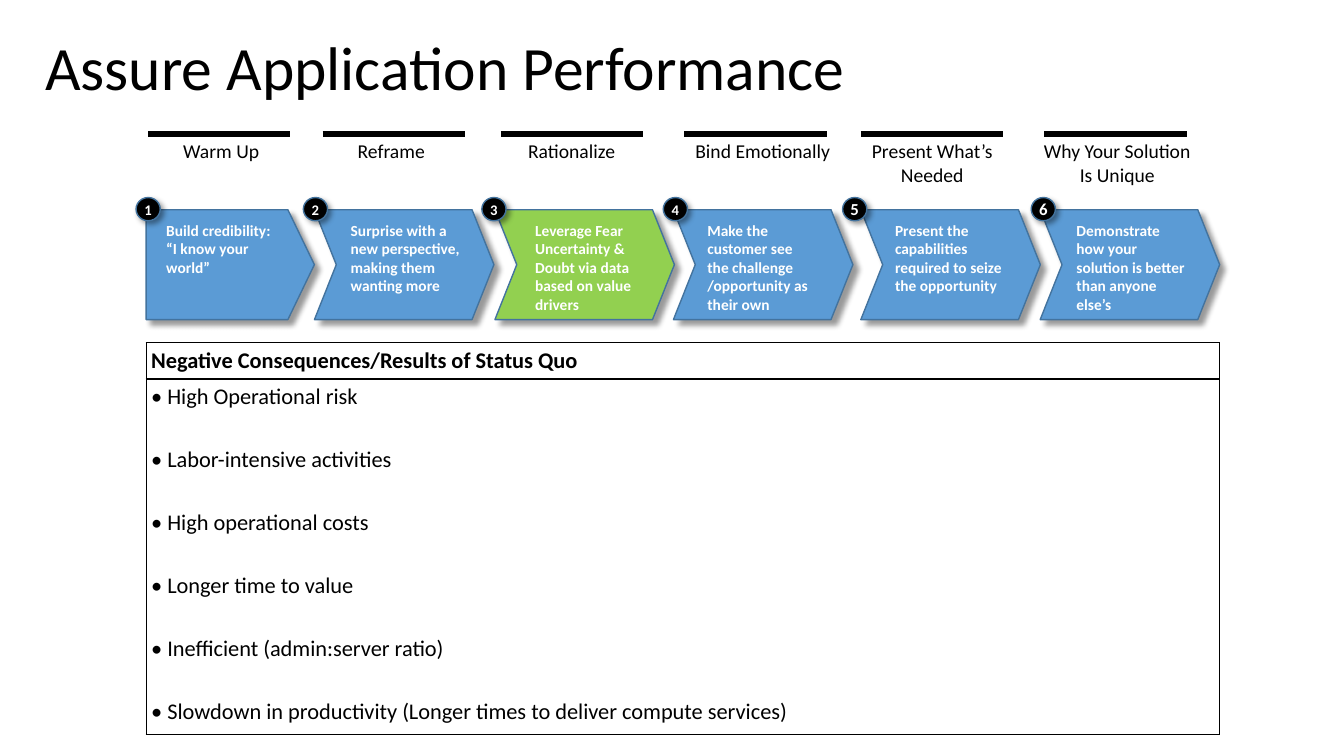
"""Build the "Assure Application Performance" slide."""
from dataclasses import dataclass

from lxml.etree import SubElement
from pptx import Presentation
from pptx.dml.color import RGBColor
from pptx.enum.shapes import MSO_CONNECTOR, MSO_SHAPE as Preset
from pptx.enum.text import MSO_ANCHOR as Anchor, MSO_AUTO_SIZE as AutoSize, PP_ALIGN as Align
from pptx.oxml.ns import qn
from pptx.shapes.autoshape import Shape
from pptx.shapes.shapetree import SlideShapes
from pptx.slide import Slide
from pptx.table import _Cell as Cell
from pptx.text.text import TextFrame
from pptx.util import Pt

BLACK = RGBColor(0x00, 0x00, 0x00)
WHITE = RGBColor(0xFF, 0xFF, 0xFF)
BLUE = RGBColor(0x5B, 0x9B, 0xD5)
GREEN = RGBColor(0x92, 0xD0, 0x50)
OUTLINE = RGBColor(0x43, 0x73, 0x9E)
FONT = "Calibri"
BULLET_GAP = 22.5


@dataclass(frozen=True)
class Step:
    """One stage of the pitch, with left edges and sizes in points."""
    heading: str
    caption: str
    rule_left: float
    heading_left: float
    heading_width: float
    arrow_left: float
    badge_left: float
    caption_left: float
    caption_height: float = 74.2
    arrow_width: float = 128.2
    preset: Preset = Preset.CHEVRON
    bend: float = 0.199
    fill: RGBColor = BLUE
    badge_size: float = 10.5


STEPS = (
    Step("Warm Up", "Build credibility:\n“I know your world”",
         105.8, 123.8, 69.1, 104.4, 97.2, 111.6, caption_height=47.5,
         arrow_width=120.2, preset=Preset.PENTAGON, bend=0.241),
    Step("Reframe", "Surprise with a new perspective, making them wanting more",
         230.4, 248.4, 62.6, 224.6, 216.7, 243.4),
    Step("Rationalize", "Leverage Fear Uncertainty & Doubt via data based on value drivers",
         357.8, 370.1, 77.8, 353.5, 344.2, 375.1, fill=GREEN),
    Step("Bind Emotionally", "Make the customer see the challenge\n/opportunity as their own",
         488.9, 489.6, 112.3, 481, 473.8, 498.2),
    Step("Present What’s\nNeeded", "Present the capabilities required to seize the opportunity",
         614.9, 613.4, 105.1, 614.9, 601.9, 632.2, caption_height=60.5, badge_size=12),
    Step("Why Your Solution\nIs Unique",
         "Demonstrate how your solution is better than anyone else’s",
         745.9, 738, 120.2, 743, 736.6, 761.8, badge_size=12),
)

CONSEQUENCES = (
    "High Operational risk",
    "Labor-intensive activities",
    "High operational costs",
    "Longer time to value",
    "Inefficient (admin:server ratio)",
    "Slowdown in productivity (Longer times to deliver compute services)",
)


def write(frame: TextFrame, text: str, size: float, color: RGBColor = BLACK,
          bold: bool = False, align: Align = Align.LEFT) -> None:
    """Fill a text frame and format all its paragraphs alike."""
    frame.text = text
    for paragraph in frame.paragraphs:
        paragraph.alignment = align
        for run in paragraph.runs:
            run.font.name = FONT
            run.font.size = Pt(size)
            run.font.bold = bold
            run.font.color.rgb = color


def add_label(shapes: SlideShapes, left: float, top: float, width: float,
              height: float, wrap: bool) -> TextFrame:
    """Add a text box that grows with its text."""
    frame = shapes.add_textbox(Pt(left), Pt(top), Pt(width), Pt(height)).text_frame
    frame.word_wrap = wrap
    frame.auto_size = AutoSize.SHAPE_TO_FIT_TEXT
    return frame


def add_shadowed(shapes: SlideShapes, preset: Preset, left: float, top: float,
                 width: float, height: float, fill: RGBColor, distance: float) -> Shape:
    """Add an outlined shape with a soft shadow to its lower right."""
    shape = shapes.add_shape(preset, Pt(left), Pt(top), Pt(width), Pt(height))
    shape.fill.solid()
    shape.fill.fore_color.rgb = fill
    shape.line.color.rgb = OUTLINE
    shape.line.width = Pt(1)
    shape.shadow.inherit = False
    effects = shape._element.spPr.find(qn("a:effectLst"))
    shadow = SubElement(effects, qn("a:outerShdw"), blurRad=str(Pt(4)),
                        dist=str(Pt(distance)), dir="2700000", algn="tl", rotWithShape="0")
    tint = SubElement(shadow, qn("a:srgbClr"), val=str(BLACK))
    SubElement(tint, qn("a:alpha"), val="40000")
    return shape


def add_step(shapes: SlideShapes, number: int, step: Step) -> None:
    """Draw a stage: rule, heading, arrow, caption and numbered badge."""
    rule = shapes.add_connector(MSO_CONNECTOR.STRAIGHT, Pt(step.rule_left), Pt(95.8),
                                Pt(step.rule_left + 101.7), Pt(95.8))
    rule.line.color.rgb = BLACK
    rule.line.width = Pt(4.5)
    SubElement(rule._element.spPr, qn("a:effectLst"))

    two_lines = "\n" in step.heading
    heading = add_label(shapes, step.heading_left, 95.8, step.heading_width,
                        41 if two_lines else 24.5, wrap=False)
    write(heading, step.heading, 14, align=Align.CENTER if two_lines else Align.LEFT)

    arrow = add_shadowed(shapes, step.preset, step.arrow_left, 149.8,
                         step.arrow_width, 78.5, step.fill, distance=5)
    arrow.adjustments[0] = step.bend

    caption = add_label(shapes, step.caption_left, 154.1, 92.2, step.caption_height, wrap=True)
    write(caption, step.caption, 11, WHITE, bold=True)

    badge = add_shadowed(shapes, Preset.OVAL, step.badge_left, 141.1, 17.3, 16.6,
                         BLACK, distance=3).text_frame
    badge.word_wrap = False
    badge.vertical_anchor = Anchor.MIDDLE
    badge.margin_left = badge.margin_right = badge.margin_top = badge.margin_bottom = 0
    write(badge, str(number), step.badge_size, WHITE, bold=True, align=Align.CENTER)


def style_cell(cell: Cell) -> None:
    """Give a cell thin black borders, no fill and narrow margins."""
    cell.margin_left = cell.margin_right = Pt(3.6)
    cell.margin_top = cell.margin_bottom = 0
    properties = cell._tc.get_or_add_tcPr()
    for side in ("lnL", "lnR", "lnT", "lnB"):
        border = SubElement(properties, qn(f"a:{side}"), w=str(Pt(1)))
        paint = SubElement(border, qn("a:solidFill"))
        SubElement(paint, qn("a:srgbClr"), val=str(BLACK))
    cell.fill.background()


def add_consequences(shapes: SlideShapes) -> None:
    """Draw the table of consequences with its bulleted list."""
    table = shapes.add_table(2, 1, Pt(104.4), Pt(244.8), Pt(766.8), Pt(280.1)).table
    table.first_row = table.horz_banding = False
    table.rows[0].height = Pt(25.9)
    table.rows[1].height = Pt(254.2)
    header, body = table.cell(0, 0), table.cell(1, 0)
    style_cell(header)
    style_cell(body)
    header.vertical_anchor = Anchor.MIDDLE
    write(header.text_frame, "Negative Consequences/Results of Status Quo", 16, bold=True)
    write(body.text_frame, "\n".join(CONSEQUENCES), 16)
    for index, consequence in enumerate(body.text_frame.paragraphs):
        consequence.line_spacing = 1.15
        consequence.space_before = Pt(BULLET_GAP if index else 0)
        properties = consequence._p.get_or_add_pPr()
        properties.set("marL", str(Pt(11.5)))
        properties.set("indent", str(-Pt(11.5)))
        SubElement(properties, qn("a:buFont"), typeface=FONT)
        SubElement(properties, qn("a:buChar"), char="•")


def add_title(slide: Slide) -> None:
    """Draw the slide title."""
    title = slide.shapes.add_textbox(Pt(25.2), Pt(10.1), Pt(868.3), Pt(79.9)).text_frame
    title.word_wrap = True
    title.vertical_anchor = Anchor.MIDDLE
    write(title, "Assure Application Performance", 44)
    title.paragraphs[0].line_spacing = 0.9


def main() -> None:
    """Assemble and save the slide."""
    deck = Presentation()
    deck.slide_width, deck.slide_height = Pt(960), Pt(540)
    slide = deck.slides.add_slide(deck.slide_layouts[6])
    add_title(slide)
    for number, step in enumerate(STEPS, start=1):
        add_step(slide.shapes, number, step)
    add_consequences(slide.shapes)
    deck.save("out.pptx")


if __name__ == "__main__":
    main()
